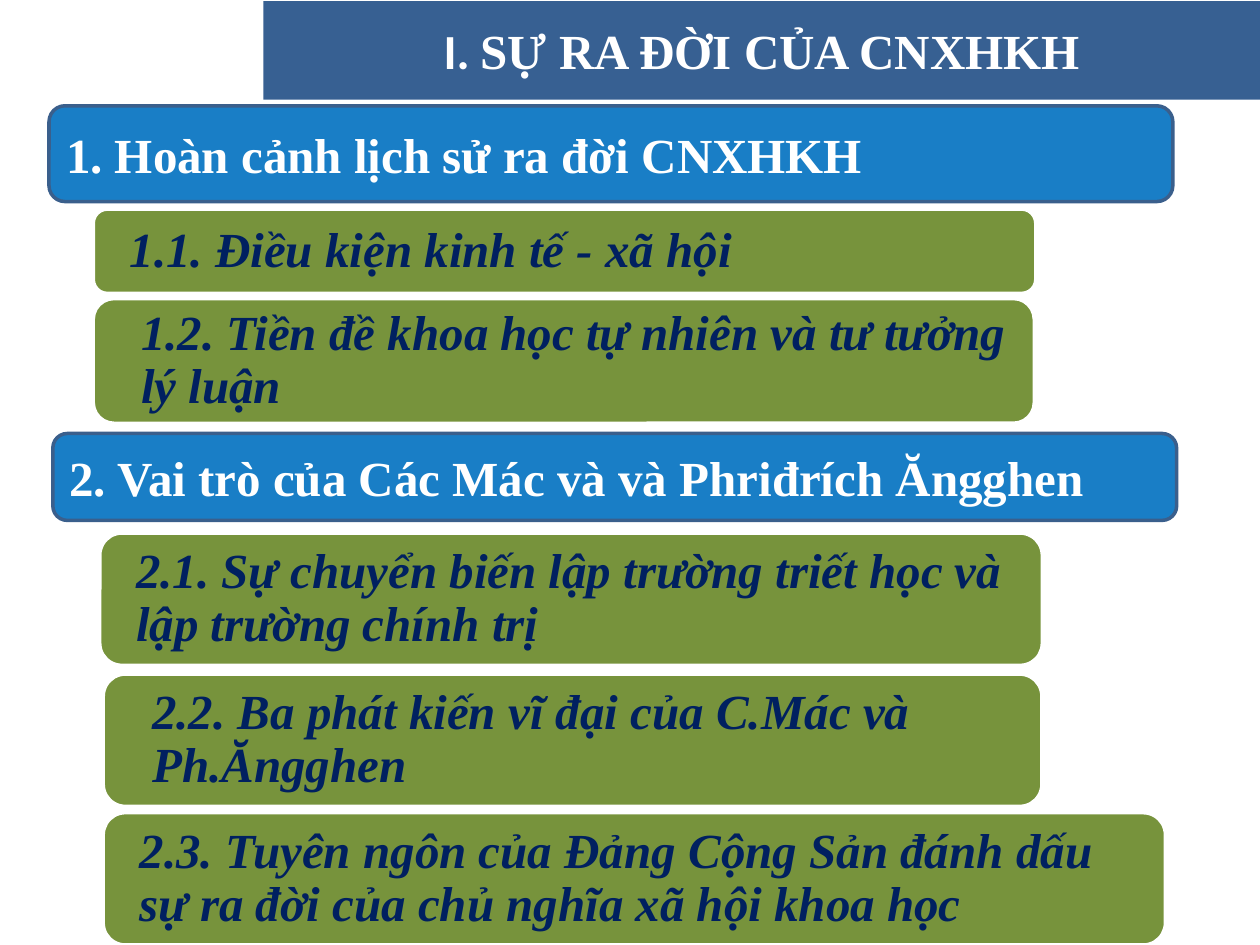
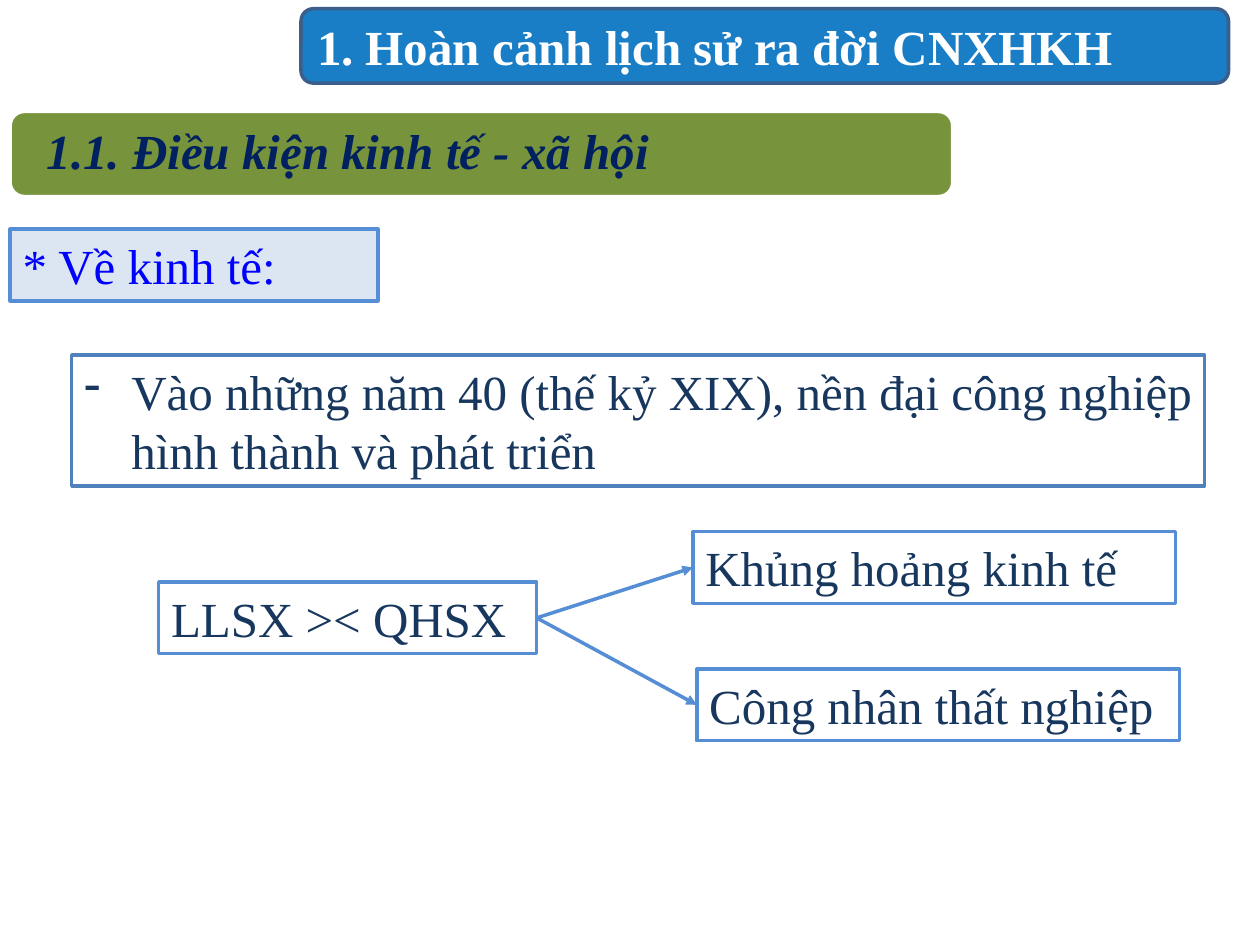
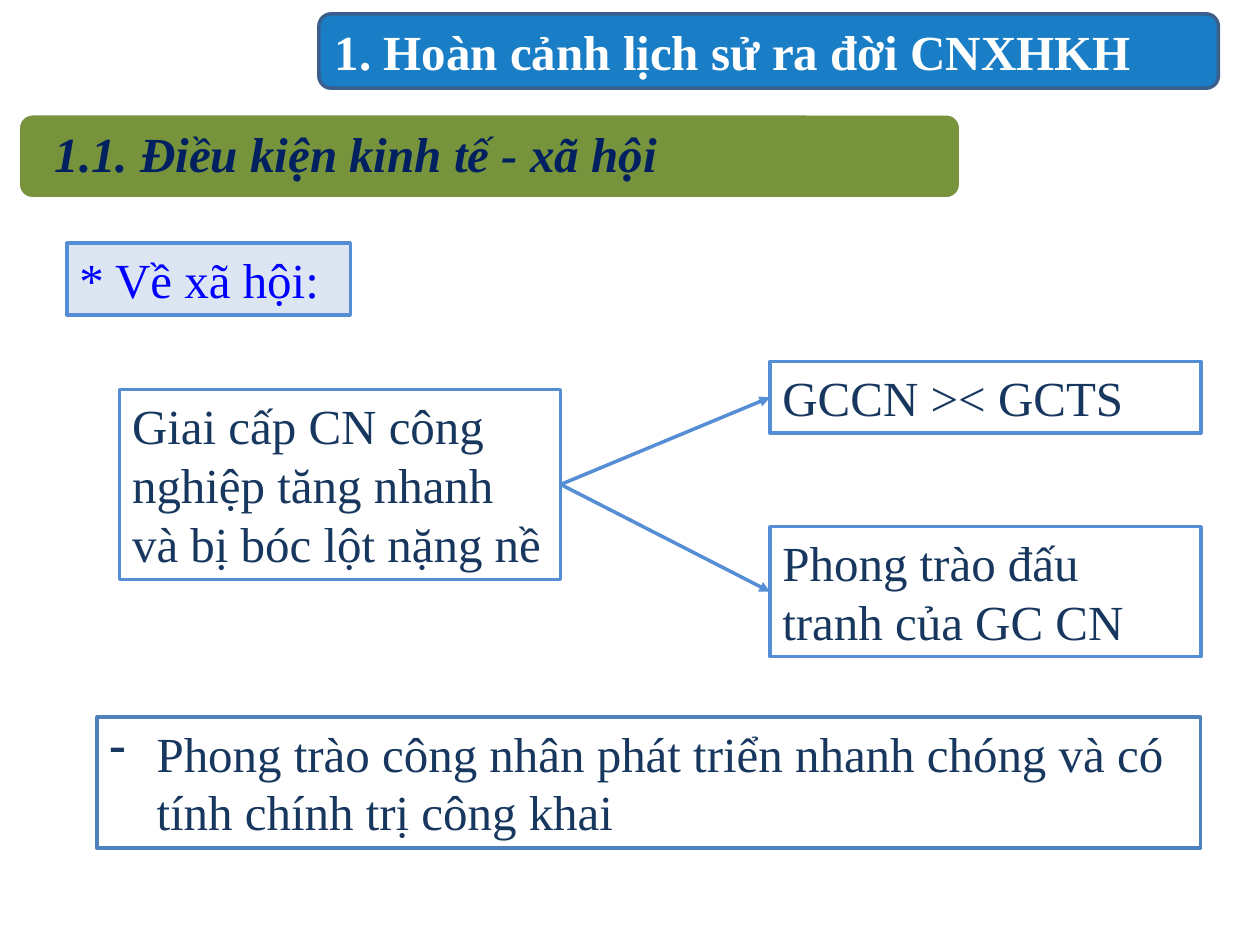
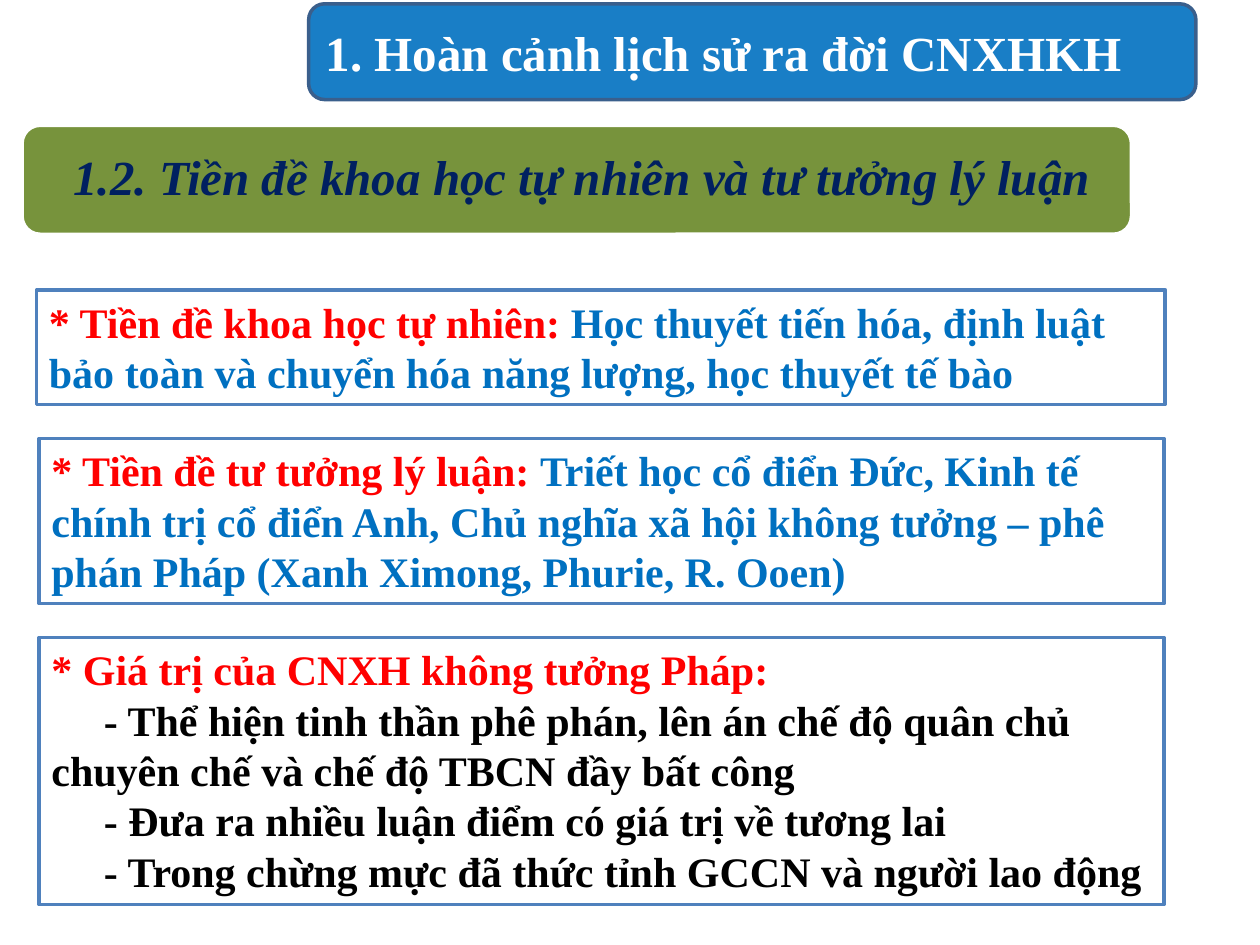
from lxml.etree import SubElement
from pptx import Presentation
from pptx.dml.color import RGBColor
from pptx.enum.shapes import MSO_CONNECTOR, MSO_SHAPE
from pptx.enum.text import MSO_ANCHOR, MSO_AUTO_SIZE, PP_ALIGN
from pptx.oxml.ns import qn
from pptx.util import Pt

COLORS = {
    "band": "376092", "heading": "0070C0", "heading_line": "3A5F8C",
    "topic": "77933C", "topic_text": "002060", "label": "DCE6F2",
    "label_text": "0000FF", "text": "17375E", "border": "4F81BD",
    "link": "558ED5", "term": "FF0000", "white": "FFFFFF", "black": "000000",
}
FONT = "Times New Roman"
BLANK_LAYOUT, TITLE_LAYOUT = 6, 5
RIGHT_SIDE, LEFT_SIDE = 3, 1

# Text shared by several slides
CONTEXT = "1. Hoàn cảnh lịch sử ra đời CNXHKH"
ECONOMY = "1.1. Điều kiện kinh tế - xã hội"
PREMISES = "1.2. Tiền đề khoa học tự nhiên và tư tưởng lý luận"


def color(name):
    return RGBColor.from_string(COLORS[name])


def points(frame):
    return [Pt(value) for value in frame]


class Deck:
    """Holds the shared style and the current slide."""

    def __init__(self):
        self.presentation = Presentation()
        self.presentation.slide_width = Pt(720)
        self.presentation.slide_height = Pt(540)
        self.slide = None

    def new_slide(self, layout=BLANK_LAYOUT):
        layouts = self.presentation.slide_layouts
        self.slide = self.presentation.slides.add_slide(layouts[layout])

    def add_run(self, paragraph, text, text_color, **formats):
        run = paragraph.add_run()
        run.text = text
        values = {"name": FONT, "size": Pt(28), "bold": False, **formats}
        for name, value in values.items():
            setattr(run.font, name, value)
        run.font.color.rgb = color(text_color)

    def panel(self, shapes, kind, frame, fill, line):
        shape = shapes.add_shape(kind, *points(frame))
        shape.shadow.inherit = False
        if fill:
            shape.fill.solid()
            shape.fill.fore_color.rgb = color(fill)
        else:
            shape.fill.background()
        shape.line.color.rgb = color(line)
        shape.line.width = Pt(2)
        return shape

    def title(self, frame, parts):
        """Title placeholder as a solid band; parts are (text, font) pairs."""
        shape = self.slide.shapes.title
        shape.left, shape.top, shape.width, shape.height = points(frame)
        shape.fill.solid()
        shape.fill.fore_color.rgb = color("band")
        shape.text_frame.vertical_anchor = MSO_ANCHOR.MIDDLE
        paragraph = shape.text_frame.paragraphs[0]
        paragraph.alignment = PP_ALIGN.CENTER
        for text, font in parts:
            self.add_run(paragraph, text, "white", name=font, bold=True)

    def heading(self, frame, text):
        """Blue, slightly transparent section heading."""
        shape = self.panel(self.slide.shapes, MSO_SHAPE.ROUNDED_RECTANGLE,
                           frame, "heading", "heading_line")
        fill_color = shape.fill._xPr.find(qn("a:solidFill"))[0]
        SubElement(fill_color, qn("a:alpha"), val="90000")
        shape.text_frame.word_wrap = True
        shape.text_frame.vertical_anchor = MSO_ANCHOR.MIDDLE
        paragraph = shape.text_frame.paragraphs[0]
        paragraph.alignment = PP_ALIGN.JUSTIFY
        self.add_run(paragraph, text, "white", bold=True)

    def topic(self, frame, text, offset=3.6):
        """Green panel grouped with its text, which starts at the offset."""
        shapes = self.slide.shapes.add_group_shape().shapes
        self.panel(shapes, MSO_SHAPE.ROUNDED_RECTANGLE, frame, "topic", "white")
        left, top, width, height = frame
        text_box = shapes.add_textbox(*points(
            (left + offset, top + 3, width - 7.2, height - 6)))
        settings = {
            "word_wrap": True, "vertical_anchor": MSO_ANCHOR.MIDDLE,
            "margin_left": Pt(17.2), "margin_right": Pt(17.2),
            "margin_top": 0, "margin_bottom": 0,
        }
        for name, value in settings.items():
            setattr(text_box.text_frame, name, value)
        paragraph = text_box.text_frame.paragraphs[0]
        paragraph.line_spacing = 0.9
        self.add_run(paragraph, text, "topic_text", bold=True, italic=True)

    def box(self, frame, paragraphs, fill=None, line="link", **formats):
        """Framed text; each paragraph is a list of (text, color) pairs."""
        shape = self.panel(self.slide.shapes, MSO_SHAPE.RECTANGLE,
                           frame, fill, line)
        text_frame = shape.text_frame
        text_frame.word_wrap = True
        text_frame.auto_size = MSO_AUTO_SIZE.SHAPE_TO_FIT_TEXT
        text_frame.vertical_anchor = MSO_ANCHOR.TOP
        for index, parts in enumerate(paragraphs):
            paragraph = (text_frame.add_paragraph() if index
                         else text_frame.paragraphs[0])
            paragraph.alignment = PP_ALIGN.LEFT
            for text, text_color in parts:
                self.add_run(paragraph, text, text_color, **formats)
        return shape

    def label(self, frame, text):
        self.box(frame, [[(text, "label_text")]], fill="label")

    def node(self, frame, text):
        return self.box(frame, [[(text, "text")]])

    def indent(self, paragraph, first_line, left=0):
        properties = paragraph._p.get_or_add_pPr()
        properties.set("marL", str(Pt(left)))
        properties.set("indent", str(Pt(first_line)))
        return properties

    def bullet_box(self, frame, text):
        shape = self.box(frame, [[(text, "text")]], line="border")
        properties = self.indent(shape.text_frame.paragraphs[0], -27, 27)
        SubElement(properties, qn("a:buChar"), char="-")

    def arrow(self, source, target):
        """Arrow from the right side of one box to the left of another."""
        connector = self.slide.shapes.add_connector(
            MSO_CONNECTOR.STRAIGHT, 0, 0, 0, 0)
        connector.begin_connect(source, RIGHT_SIDE)
        connector.end_connect(target, LEFT_SIDE)
        connector.line.color.rgb = color("link")
        connector.line.width = Pt(2)
        SubElement(connector.line._get_or_add_ln(), qn("a:tailEnd"),
                   type="triangle")
        SubElement(connector._element.spPr, qn("a:effectLst"))

    def branch(self, cause, effects):
        """One cause with an arrow to each effect; all are (frame, text)."""
        source = self.node(*cause)
        for effect in effects:
            self.arrow(source, self.node(*effect))


def build_outline(deck):
    deck.new_slide(TITLE_LAYOUT)
    deck.title((150.5, 0.7, 569.5, 56.2),
               [("I. ", "Calibri"), ("SỰ RA ĐỜI CỦA CNXHKH", FONT)])
    deck.heading((28, 60.5, 642.2, 54.7), CONTEXT)
    deck.heading((30.2, 247.7, 642.2, 49.7),
                 "2. Vai trò của Các Mác và và Phriđrích Ăngghen")
    topics = [
        ((53.3, 119.5, 538.6, 48.2), ECONOMY, 3.6),
        ((53.3, 170.6, 537.8, 71.3), PREMISES, 10.1),
        ((57, 304.6, 538.6, 75.6),
         "2.1. Sự chuyển biến lập trường triết học và lập trường chính trị", 3.6),
        ((59, 385.2, 536.4, 75.6),
         "2.2. Ba phát kiến vĩ đại của C.Mác và Ph.Ăngghen", 10.8),
        ((59, 464.4, 607, 75.6),
         "2.3. Tuyên ngôn của Đảng Cộng Sản đánh dấu sự ra đời "
         "của chủ nghĩa xã hội khoa học", 3.6),
    ]
    for frame, text, offset in topics:
        deck.topic(frame, text, offset)


def build_economy(deck):
    deck.new_slide()
    deck.heading((172, 5, 530, 42.5), CONTEXT)
    deck.topic((5.8, 63.7, 538.6, 48.6), ECONOMY)
    deck.label((5.8, 131, 210.2, 41), "* Về kinh tế:")
    deck.bullet_box((41, 203, 647.3, 74.9),
                    "Vào những năm 40 (thế kỷ XIX), nền đại công nghiệp "
                    "hình thành và phát triển")
    deck.branch(((90.7, 332.6, 216, 41), "LLSX >< QHSX"), [
        ((396, 303.8, 275.8, 41), "Khủng hoảng kinh tế"),
        ((398.2, 382.3, 275.8, 41), "Công nhân thất nghiệp"),
    ])


def build_society(deck):
    deck.new_slide()
    deck.heading((182.2, 7.9, 514, 42.5), CONTEXT)
    deck.topic((10.4, 65, 538.6, 48.6), ECONOMY)
    deck.label((38.2, 139, 162, 41), "* Về xã hội:")
    deck.bullet_box((55.4, 409.7, 630.7, 74.9),
                    "Phong trào công nhân phát triển nhanh chóng và có "
                    "tính chính trị công khai")
    cause = ((68.4, 222.5, 252, 108.7),
             "Giai cấp CN công nghiệp tăng nhanh và bị bóc lột nặng nề")
    deck.branch(cause, [
        ((440, 206.6, 246.2, 41), "GCCN >< GCTS"),
        ((440, 301, 246.2, 74.2), "Phong trào đấu tranh của GC CN"),
    ])


def build_premises(deck):
    deck.new_slide()
    deck.heading((176.4, 2.2, 507, 54.7), CONTEXT)
    deck.topic((12.6, 71.6, 634, 62.3), PREMISES, 12.2)
    style = {"line": "border", "size": Pt(24), "bold": True}
    deck.box((20.9, 165.6, 645, 65.5), [[
        ("* Tiền đề khoa học tự nhiên: ", "term"),
        ("Học thuyết tiến hóa, định luật bảo toàn và chuyển hóa năng lượng, "
         "học thuyết tế bào", "heading"),
    ]], **style)
    deck.box((22.3, 250.6, 643, 94.3), [[
        ("* Tiền đề tư tưởng lý luận: ", "term"),
        ("Triết học cổ điển Đức, Kinh tế chính trị cổ điển Anh, "
         "Chủ nghĩa xã hội không tưởng – phê phán Pháp "
         "(Xanh Ximong, Phurie, R. Ooen)", "heading"),
    ]], **style)
    values = deck.box((22.3, 364.3, 643, 152.6), [
        [("* Giá trị của CNXH không tưởng Pháp:", "term")],
        [("- Thể hiện tinh thần phê phán, lên án chế độ quân chủ chuyên chế "
          "và chế độ TBCN đầy bất công", "black")],
        [("- Đưa ra nhiều luận điểm có giá trị về tương lai", "black")],
        [("- Trong chừng mực đã thức tỉnh GCCN và người lao động", "black")],
    ], **style)
    for paragraph in values.text_frame.paragraphs[1:]:
        deck.indent(paragraph, 30)


def main():
    deck = Deck()
    for build in (build_outline, build_economy, build_society, build_premises):
        build(deck)
    deck.presentation.save("out.pptx")


if __name__ == "__main__":
    main()
